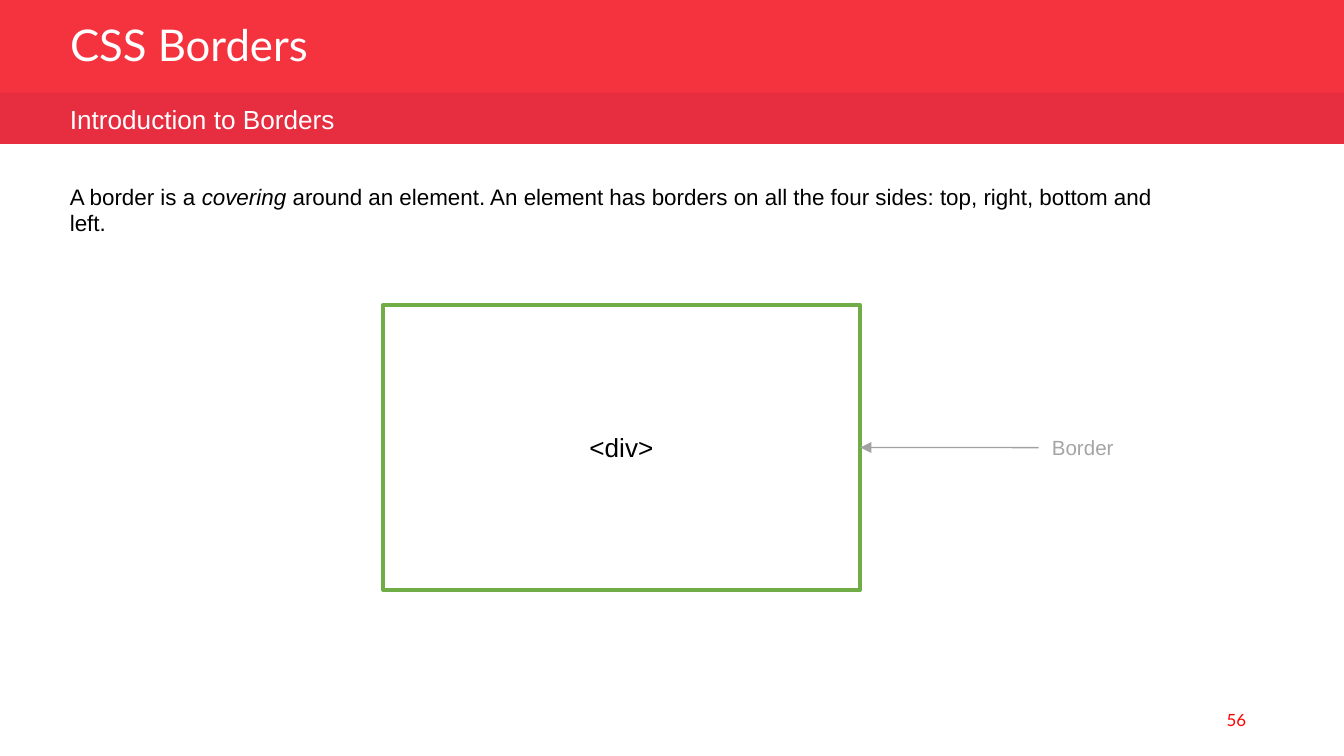
from lxml.etree import SubElement
from pptx import Presentation
from pptx.dml.color import RGBColor
from pptx.enum.shapes import MSO_CONNECTOR, MSO_SHAPE
from pptx.enum.text import MSO_ANCHOR, MSO_AUTO_SIZE, PP_ALIGN
from pptx.oxml.ns import qn
from pptx.util import Cm, Pt

PAGE_WIDTH = 25.4
MARGIN = 1.07
FRAME_LEFT, FRAME_TOP, FRAME_WIDTH, FRAME_HEIGHT = 7.24, 5.77, 9.02, 5.38
MIDDLE_X = FRAME_LEFT + FRAME_WIDTH / 2
MIDDLE_Y = FRAME_TOP + FRAME_HEIGHT / 2

TITLE = {"name": "Lato", "size": Pt(23.4), "color": "FFFFFF"}
SUBTITLE = {"name": "Arial", "size": Pt(14), "color": "FFFFFF"}
BODY = {"name": "Arial", "size": Pt(12), "color": "000000"}
ELEMENT = {"name": "Arial", "size": Pt(14), "color": "000000"}
CALLOUT = {"name": "Arial", "size": Pt(11), "color": "A5A5A5"}
NUMBER = {"name": "Lato", "size": Pt(9), "color": "FF0000"}


def color(value):
    return RGBColor.from_string(value)


def format_font(font, values):
    for name, value in values.items():
        if name == "color":
            font.color.rgb = color(value)
        else:
            setattr(font, name, value)


def write(box, spans, values, frame_format, para_format):
    frame = box.text_frame
    for name, value in frame_format.items():
        setattr(frame, name, value)
    para = frame.paragraphs[0]
    for name, value in para_format.items():
        setattr(para, name, value)
    for text, extra in spans:
        span = para.add_run()
        span.text = text
        format_font(span.font, {**values, **extra})


def add_text(page, area, spans, values, wrap=True, anchor=MSO_ANCHOR.TOP, align=PP_ALIGN.LEFT):
    box = page.shapes.add_textbox(*map(Cm, area))
    frame_format = {"word_wrap": wrap, "vertical_anchor": anchor}
    write(box, spans, values, frame_format, {"alignment": align})
    return box


def set_title(page, area, text):
    title = page.shapes.title
    title.left, title.top, title.width, title.height = map(Cm, area)
    frame_format = {
        "word_wrap": True,
        "auto_size": MSO_AUTO_SIZE.NONE,
        "vertical_anchor": MSO_ANCHOR.MIDDLE,
    }
    para_format = {"alignment": PP_ALIGN.LEFT, "line_spacing": 0.8}
    write(title, [(text, {})], TITLE, frame_format, para_format)


def add_rectangle(page, area):
    shape = page.shapes.add_shape(MSO_SHAPE.RECTANGLE, *map(Cm, area))
    shape.shadow.inherit = False
    return shape


def add_band(page, top, height, fill):
    band = add_rectangle(page, (0, top, PAGE_WIDTH, height))
    band.fill.solid()
    band.fill.fore_color.rgb = color(fill)
    band.line.fill.background()
    return band


def add_frame(page, area, line, width):
    frame = add_rectangle(page, area)
    frame.fill.background()
    frame.line.color.rgb = color(line)
    frame.line.width = Pt(width)
    return frame


def add_arrow(page, start, end, line, width):
    arrow = page.shapes.add_connector(MSO_CONNECTOR.STRAIGHT, 0, 0, 0, 0)
    arrow.begin_connect(start, 1)
    arrow.end_connect(end, 3)
    arrow.line.color.rgb = color(line)
    arrow.line.width = Pt(width)
    SubElement(arrow.line._get_or_add_ln(), qn("a:tailEnd"), type="triangle")
    SubElement(arrow.element.spPr, qn("a:effectLst"))


def main():
    deck = Presentation()
    deck.slide_width, deck.slide_height = Cm(PAGE_WIDTH), Cm(14.29)
    page = deck.slides.add_slide(deck.slide_layouts[5])

    header = add_band(page, 0, 1.78, "F5333F")
    page.shapes.title.element.addprevious(header.element)
    set_title(page, (MARGIN, 0.36, 11.91, 1.12), "CSS Borders")
    add_band(page, 1.75, 0.97, "E72D40")
    add_text(page, (MARGIN, 1.83, 12.93, 0.86), [("Introduction to Borders", {})], SUBTITLE)

    add_text(page, (MARGIN, 3.33, 21.18, 1.27), [
        ("A border is a ", {}),
        ("covering", {"italic": True}),
        (" around an element. An element has borders on all the four sides: top, right, bottom and left.", {}),
    ], BODY)

    frame = add_frame(page, (FRAME_LEFT, FRAME_TOP, FRAME_WIDTH, FRAME_HEIGHT), "70AD47", 2)
    add_text(page, (MIDDLE_X - 0.86, MIDDLE_Y - 0.43, 1.72, 0.86), [("<div>", {})], ELEMENT, wrap=False)
    label = add_text(page, (19.63, MIDDLE_Y - 0.37, 1.68, 0.74), [("Border", {})], CALLOUT, wrap=False)
    add_arrow(page, label, frame, "A1A1A1", 0.75)

    add_text(page, (18.08, 13.23, 5.72, 0.76), [("56", {})], NUMBER,
             anchor=MSO_ANCHOR.MIDDLE, align=PP_ALIGN.RIGHT)
    deck.save("out.pptx")


if __name__ == "__main__":
    main()
